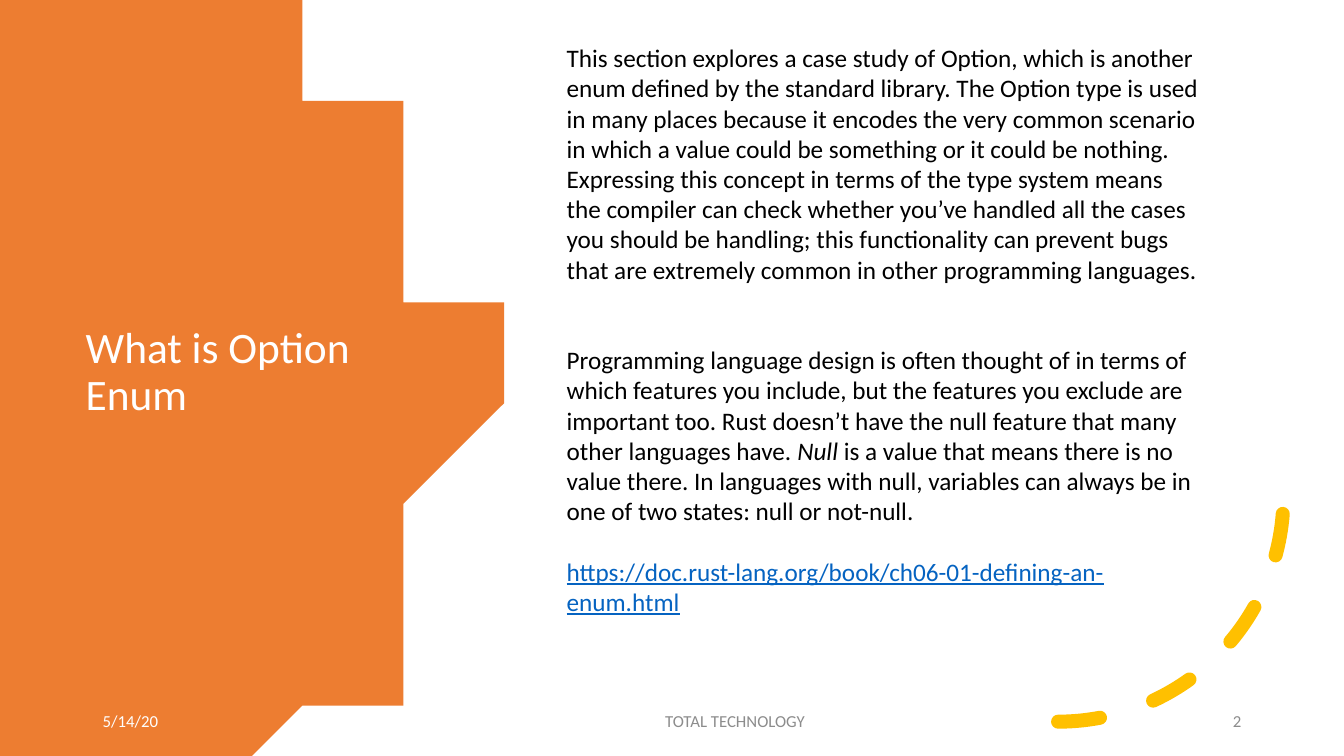
import math

import pptx
import pptx.dml.color
import pptx.enum.dml
import pptx.enum.shapes
import pptx.enum.text
import pptx.oxml.xmlchemy
import pptx.util

WIDTH, HEIGHT = 13.33, 7.5
FONT = "Calibri"
COLORS = {
    "disc": "ED7D31",
    "arc": "FFC000",
    "light": "FFFFFF",
    "text": "000000",
    "footer": "8C8C8C",
    "link": "0563C1",
}
ALIGN = pptx.enum.text.PP_ALIGN
ANCHOR = pptx.enum.text.MSO_ANCHOR
BODY_LINE = 21.5  # height of one body line, points

OPTION_TEXT = (
    "This section explores a case study of Option, which is another enum defined by "
    "the standard library. The Option type is used in many places because it encodes "
    "the very common scenario in which a value could be something or it could be "
    "nothing. Expressing this concept in terms of the type system means the compiler "
    "can check whether you’ve handled all the cases you should be handling; this "
    "functionality can prevent bugs that are extremely common in other programming "
    "languages."
)
DESIGN_TEXT = (
    "Programming language design is often thought of in terms of which features you "
    "include, but the features you exclude are important too. Rust doesn’t have the "
    "null feature that many other languages have. "
)
NULL_TEXT = (
    " is a value that means there is no value there. In languages with null, variables "
    "can always be in one of two states: null or not-null."
)
BOOK_LINK = "https://doc.rust-lang.org/book/ch06-01-defining-an-enum.html"

# Each paragraph: lines of space before it, then its runs with their formats
BODY = [
    (0, [(OPTION_TEXT, {})]),
    (2, [(DESIGN_TEXT, {}), ("Null", {"italic": True}), (NULL_TEXT, {})]),
    (1, [(BOOK_LINK, {"underline": True, "color": "link"})]),
]

# Footer items: text, left, width, alignment, colour
FOOTER = [
    ("5/14/20", 0.92, 1.79, ALIGN.LEFT, "light"),
    ("TOTAL TECHNOLOGY", 4.42, 5.74, ALIGN.CENTER, "footer"),
    ("2", 10.43, 1.98, ALIGN.RIGHT, "footer"),
]


def rgb(name):
    return pptx.dml.color.RGBColor.from_string(COLORS[name])


def apply(target, values):
    for attribute, value in values.items():
        setattr(target, attribute, value)


def place(shape, left, top, width, height):
    box = {"left": left, "top": top, "width": width, "height": height}
    apply(shape, {side: pptx.util.Inches(value) for side, value in box.items()})


def set_frame(frame, anchor):
    apply(frame, {
        "word_wrap": True,
        "auto_size": pptx.enum.text.MSO_AUTO_SIZE.NONE,
        "vertical_anchor": anchor,
    })


def write_run(paragraph, text, size, color="text", **font_format):
    run = paragraph.add_run()
    run.text = text
    apply(run.font, {"name": FONT, "size": pptx.util.Pt(size), **font_format})
    run.font.color.rgb = rgb(color)


def add_disc(slide):
    """Large circle cut off by the left, top and bottom slide edges."""
    center, radius, steps = 0.15, 4.41, 80
    middle = HEIGHT / 2
    half_angle = math.asin(middle / radius)
    edge = [(0, 0)]
    for step in range(steps + 1):
        angle = half_angle * (2 * step / steps - 1)
        edge.append((center + radius * math.cos(angle),
                     middle + radius * math.sin(angle)))
    edge.append((0, HEIGHT))
    builder = slide.shapes.build_freeform(*edge[0], scale=pptx.util.Inches(1))
    builder.add_line_segments(edge[1:], close=True)
    disc = builder.convert_to_shape()
    disc.shadow.inherit = False
    disc.fill.solid()
    disc.fill.fore_color.rgb = rgb("disc")
    disc.line.fill.background()


def add_dashed_arc(slide):
    left, top, size = (pptx.util.Inches(value) for value in (8.26, 2.69, 4.47))
    arc = slide.shapes.add_shape(
        pptx.enum.shapes.MSO_SHAPE.ARC, left, top, size, size)
    arc.shadow.inherit = False
    arc.fill.background()
    arc.line.color.rgb = rgb("arc")
    apply(arc.line, {"width": pptx.util.Pt(10),
                     "dash_style": pptx.enum.dml.MSO_LINE.DASH})
    # Rounded dashes, quarter circle turned to the bottom right
    arc.line._get_or_add_ln().set("cap", "rnd")
    arc._element.spPr.xfrm.set("flipV", "1")


def fill_title(title):
    place(title, 0.75, 1.26, 3.5, 4.88)
    set_frame(title.text_frame, ANCHOR.MIDDLE)
    heading = title.text_frame.paragraphs[0]
    apply(heading, {"alignment": ALIGN.LEFT, "line_spacing": 0.9})
    write_run(heading, "What is Option Enum", 31, "light")


def fill_body(body):
    place(body, 5.52, 0.37, 6.5, 5.86)
    frame = body.text_frame
    set_frame(frame, ANCHOR.TOP)
    for index, (gap, runs) in enumerate(BODY):
        paragraph = frame.add_paragraph() if index else frame.paragraphs[0]
        # Plain paragraphs: no bullet, no indent
        properties = paragraph._p.get_or_add_pPr()
        apply(paragraph, {"alignment": ALIGN.LEFT, "line_spacing": 1.0,
                          "space_before": pptx.util.Pt(gap * BODY_LINE)})
        for side in ("marL", "indent"):
            properties.set(side, "0")
        properties.append(pptx.oxml.xmlchemy.OxmlElement("a:buNone"))
        for text, run_format in runs:
            write_run(paragraph, text, 18, **run_format)


def add_footer_item(slide, text, left, width, alignment, color):
    item = slide.shapes.add_textbox(0, 0, 0, 0)
    place(item, left, 6.95, width, 0.4)
    set_frame(item.text_frame, ANCHOR.MIDDLE)
    paragraph = item.text_frame.paragraphs[0]
    apply(paragraph, {"alignment": alignment, "space_after": pptx.util.Pt(6)})
    write_run(paragraph, text, 12, color)


def main():
    deck = pptx.Presentation()
    deck.slide_width = pptx.util.Inches(WIDTH)
    deck.slide_height = pptx.util.Inches(HEIGHT)
    slide = deck.slides.add_slide(deck.slide_layouts[1])
    title, body = slide.placeholders

    # Decoration, with the disc moved behind the title
    add_disc(slide)
    disc = slide.shapes[-1]._element
    title._element.addprevious(disc)
    add_dashed_arc(slide)

    # Text
    fill_title(title)
    fill_body(body)
    for item in FOOTER:
        add_footer_item(slide, *item)

    deck.save("out.pptx")


if __name__ == "__main__":
    main()
